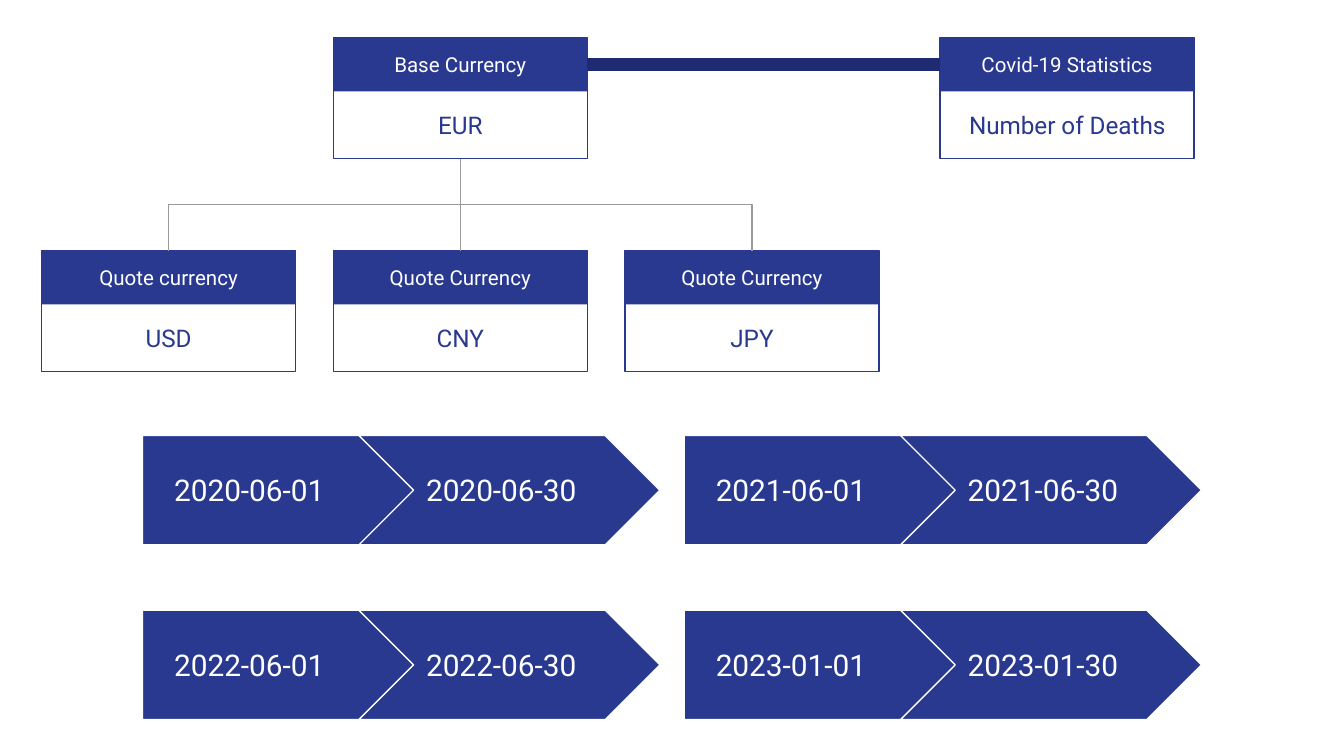
import pptx
import pptx.dml.color
import pptx.enum.shapes
import pptx.enum.text
import pptx.oxml
import pptx.util
from dataclasses import dataclass


@dataclass(frozen=True)
class Theme:
    font: str = "Roboto"
    blue: str = "2A3990"
    navy: str = "1E2B73"
    gray: str = "999999"
    white: str = "FFFFFF"
    heading_size: int = 11
    value_size: int = 13
    date_size: int = 16
    thin: float = 0.75
    thick: float = 7


theme = Theme()
color = pptx.dml.color.RGBColor.from_string
shapes_enum = pptx.enum.shapes
geometry = shapes_enum.MSO_SHAPE

presentation = pptx.Presentation()
presentation.slide_width = pptx.util.Inches(10)
presentation.slide_height = presentation.slide_width * 9 // 16
slide = presentation.slides.add_slide(presentation.slide_layouts[6])
cell = presentation.slide_width // 100


def add_box(kind, area, fill=None, line=None):
    shape = slide.shapes.add_shape(kind, *[round(cells * cell) for cells in area])
    shape.shadow.inherit = False
    if fill:
        shape.fill.solid()
        shape.fill.fore_color.rgb = color(fill)
    else:
        shape.fill.background()
    if line:
        shape.line.color.rgb = color(line)
        shape.line.width = pptx.util.Pt(theme.thin)
    else:
        shape.line.fill.background()


def add_label(text, area, size, text_color):
    label = slide.shapes.add_textbox(*[round(cells * cell) for cells in area])
    frame = label.text_frame
    frame.word_wrap = True
    frame.vertical_anchor = pptx.enum.text.MSO_ANCHOR.MIDDLE
    frame.margin_left = frame.margin_right = cell
    frame.margin_top = frame.margin_bottom = cell
    paragraph = frame.paragraphs[0]
    paragraph.text = text
    paragraph.alignment = pptx.enum.text.PP_ALIGN.CENTER
    paragraph.font.name = theme.font
    paragraph.font.size = pptx.util.Pt(size)
    paragraph.font.color.rgb = color(text_color)


period_left, period_top = 10.6, 32.4
period_step, period_row = 40.3, 13
periods = [
    [("2020-06-01", "2020-06-30"), ("2021-06-01", "2021-06-30")],
    [("2022-06-01", "2022-06-30"), ("2023-01-01", "2023-01-30")],
]
for row, row_periods in enumerate(periods):
    top = period_top + row * period_row
    for column, (start, end) in enumerate(row_periods):
        left = period_left + column * period_step
        add_box(geometry.PENTAGON, (left, top, 20.5, 8.15), theme.blue, theme.white)
        add_label(start, (left, top + 1.5, 15.9, 5.1), theme.date_size, theme.white)
        add_box(geometry.CHEVRON, (left + 16.1, top, 22.4, 8.15), theme.blue, theme.white)
        add_label(end, (left + 19.5, top + 1.5, 14.4, 5.1), theme.date_size, theme.white)

card_width, card_height, heading_height = 18.9, 9, 4
base_left, base_top, quote_top = 24.8, 2.8, 18.65
card_step, statistics_left = 21.7, 69.95
cards = [
    (base_left, base_top, "Base Currency", "EUR"),
    (base_left - card_step, quote_top, "Quote currency", "USD"),
    (base_left, quote_top, "Quote Currency", "CNY"),
    (base_left + card_step, quote_top, "Quote Currency", "JPY"),
    (statistics_left, base_top, "Covid-19 Statistics", "Number of Deaths"),
]
for left, top, heading, value in cards:
    add_box(geometry.RECTANGLE, (left, top, card_width, card_height), line=theme.blue)
    add_box(geometry.RECTANGLE, (left, top, card_width, heading_height), fill=theme.blue)
    add_label(heading, (left, top + 0.75, card_width, 2.5), theme.heading_size, theme.white)
    add_label(value, (left, top + 5.25, card_width, 2.5), theme.value_size, theme.blue)

base_middle = base_left + card_width / 2
base_bottom = base_top + card_height
half_drop = (quote_top - base_bottom) / 2
branch_middle = base_bottom + half_drop
link_row = base_top + heading_height / 2
straight = shapes_enum.MSO_CONNECTOR.STRAIGHT
elbow = shapes_enum.MSO_CONNECTOR.ELBOW
links = [
    (straight, (base_middle, base_bottom, base_middle, quote_top), 0, theme.gray, theme.thin),
    (straight, (base_left + card_width, link_row, statistics_left, link_row), 0, theme.navy, theme.thick),
]
for side, turn in ((-1, 90), (1, 270)):
    center = base_middle + side * card_step / 2
    ends = (
        center + side * half_drop,
        branch_middle - card_step / 2,
        center - side * half_drop,
        branch_middle + card_step / 2,
    )
    links.append((elbow, ends, turn, theme.gray, theme.thin))

for kind, ends, turn, line_color, width in links:
    connector = slide.shapes.add_connector(kind, *[round(cells * cell) for cells in ends])
    connector.line.color.rgb = color(line_color)
    connector.line.width = pptx.util.Pt(width)
    properties = connector._element.spPr
    properties.append(pptx.oxml.parse_xml(
        '<a:effectLst xmlns:a="http://schemas.openxmlformats.org/drawingml/2006/main"/>'
    ))
    if turn:
        properties.xfrm.set("rot", str(turn * 60000))

presentation.save("out.pptx")
